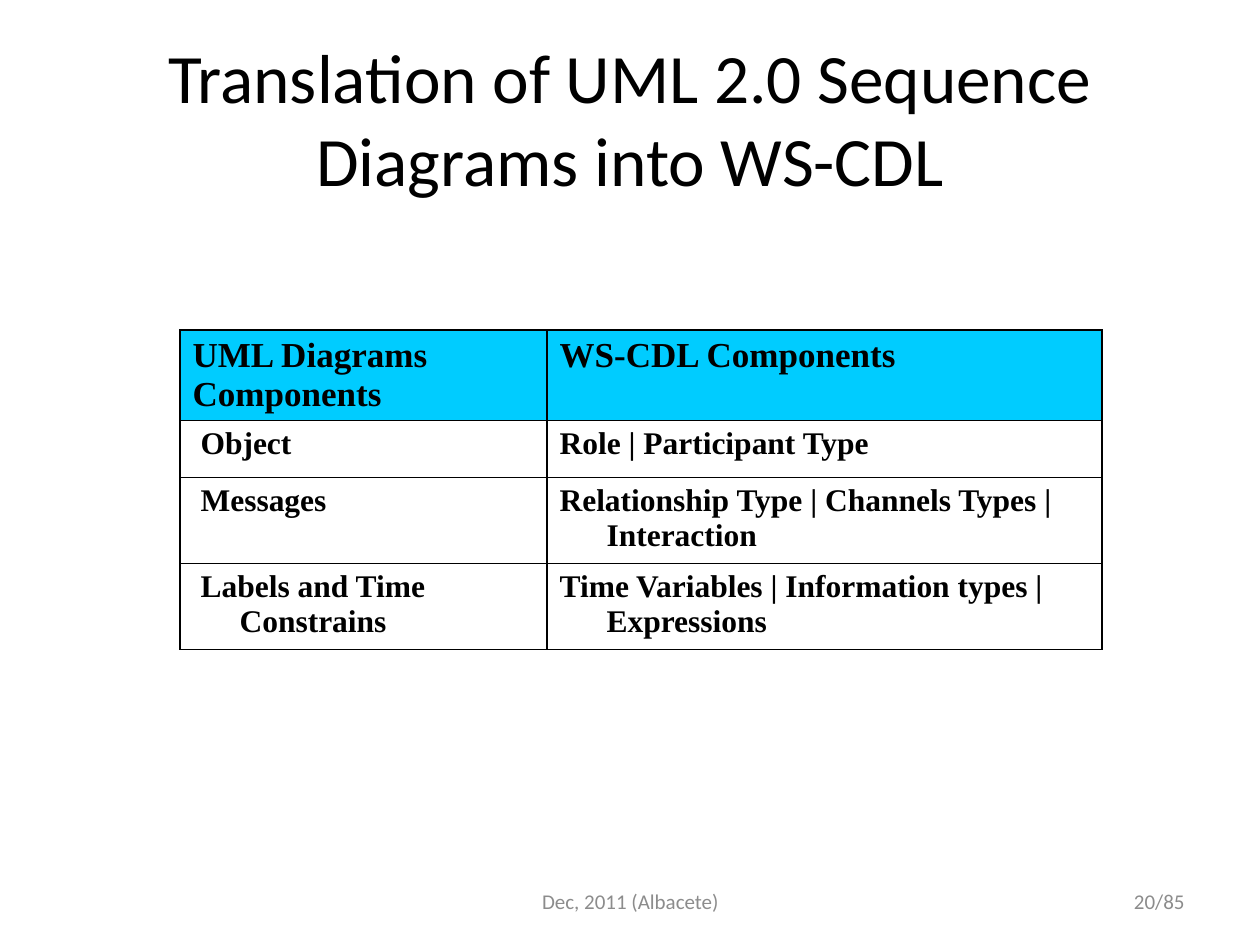
"""Builds the slide that maps UML sequence diagram parts to WS-CDL components."""
import pptx
import pptx.dml.color
import pptx.enum.text
import pptx.oxml
import pptx.oxml.ns
import pptx.util

PX = 7257
THEME = {
    "black": "000000", "grey": "8C8C8C", "header": "00CCFF",
    "title_font": "Calibri", "table_font": "Times New Roman",
    "title_size": 39.6, "header_size": 20, "row_size": 18, "footer_size": 12,
}
ALIGN = pptx.enum.text.PP_ALIGN
MIDDLE = pptx.enum.text.MSO_ANCHOR.MIDDLE


def write(frame, text, size, font=THEME["title_font"], color=THEME["black"],
          bold=False, align=ALIGN.LEFT, anchor=None, hanging=None):
    """Fill a text frame, one paragraph a line; hanging is (margin, indent) in px."""
    frame.word_wrap = True
    if anchor is not None:
        frame.vertical_anchor = anchor
    frame.text = text
    for paragraph in frame.paragraphs:
        paragraph.alignment = align
        if hanging:
            margin, indent = hanging
            properties = paragraph._p.get_or_add_pPr()
            properties.set("marL", str(margin * PX))
            properties.set("indent", str(indent * PX))
        for run in paragraph.runs:
            run.font.size = pptx.util.Pt(size)
            run.font.name = font
            run.font.bold = bold
            run.font.color.rgb = pptx.dml.color.RGBColor.from_string(color)


presentation = pptx.Presentation()
presentation.slide_width = 1260 * PX
presentation.slide_height = 945 * PX
slide = presentation.slides.add_slide(presentation.slide_layouts[5])

title = slide.shapes.title
title.left, title.top, title.width, title.height = [n * PX for n in (63, 38, 1134, 158)]
title.text_frame.auto_size = pptx.enum.text.MSO_AUTO_SIZE.NONE
write(title.text_frame, "Translation of UML 2.0 Sequence Diagrams into WS-CDL",
      THEME["title_size"], align=ALIGN.CENTER, anchor=MIDDLE)

mapping = [
    ("UML Diagrams\nComponents", "WS-CDL Components"),
    ("Object", "Role | Participant Type"),
    ("Messages", "Relationship Type | Channels Types | Interaction"),
    ("Labels and Time Constrains", "Time Variables | Information types | Expressions"),
]
column_widths = [367, 555]
row_heights = [86, 57, 86, 86]
components = slide.shapes.add_table(
    len(mapping), len(column_widths), 180 * PX, 330 * PX,
    sum(column_widths) * PX, sum(row_heights) * PX).table
components.first_row = False
components.horz_banding = False
for column, width in zip(components.columns, column_widths):
    column.width = width * PX
for row, height in zip(components.rows, row_heights):
    row.height = height * PX

for r, entries in enumerate(mapping):
    for c, entry in enumerate(entries):
        cell = components.cell(r, c)
        is_header = r == 0
        first_line = -39 if c == 0 and not is_header else -47
        write(cell.text_frame, entry, THEME["header_size" if is_header else "row_size"],
              font=THEME["table_font"], bold=True, hanging=(47, first_line))
        for side in ("lnL", "lnR", "lnT", "lnB"):
            cell._tc.get_or_add_tcPr().append(pptx.oxml.parse_xml(
                f'<a:{side} {pptx.oxml.ns.nsdecls("a")} w="12700"><a:solidFill>'
                f'<a:srgbClr val="{THEME["black"]}"/></a:solidFill></a:{side}>'))
        if is_header:
            cell.fill.solid()
            cell.fill.fore_color.rgb = pptx.dml.color.RGBColor.from_string(THEME["header"])
        else:
            cell.fill.background()

footers = [
    ("Dec, 2011 (Albacete)", 431, 399, ALIGN.CENTER),
    ("20/85", 903, 294, ALIGN.RIGHT),
]
for text, left, width, align in footers:
    footer = slide.shapes.add_textbox(left * PX, 876 * PX, width * PX, 50 * PX)
    write(footer.text_frame, text, THEME["footer_size"], color=THEME["grey"],
          align=align, anchor=MIDDLE)

presentation.save("out.pptx")
